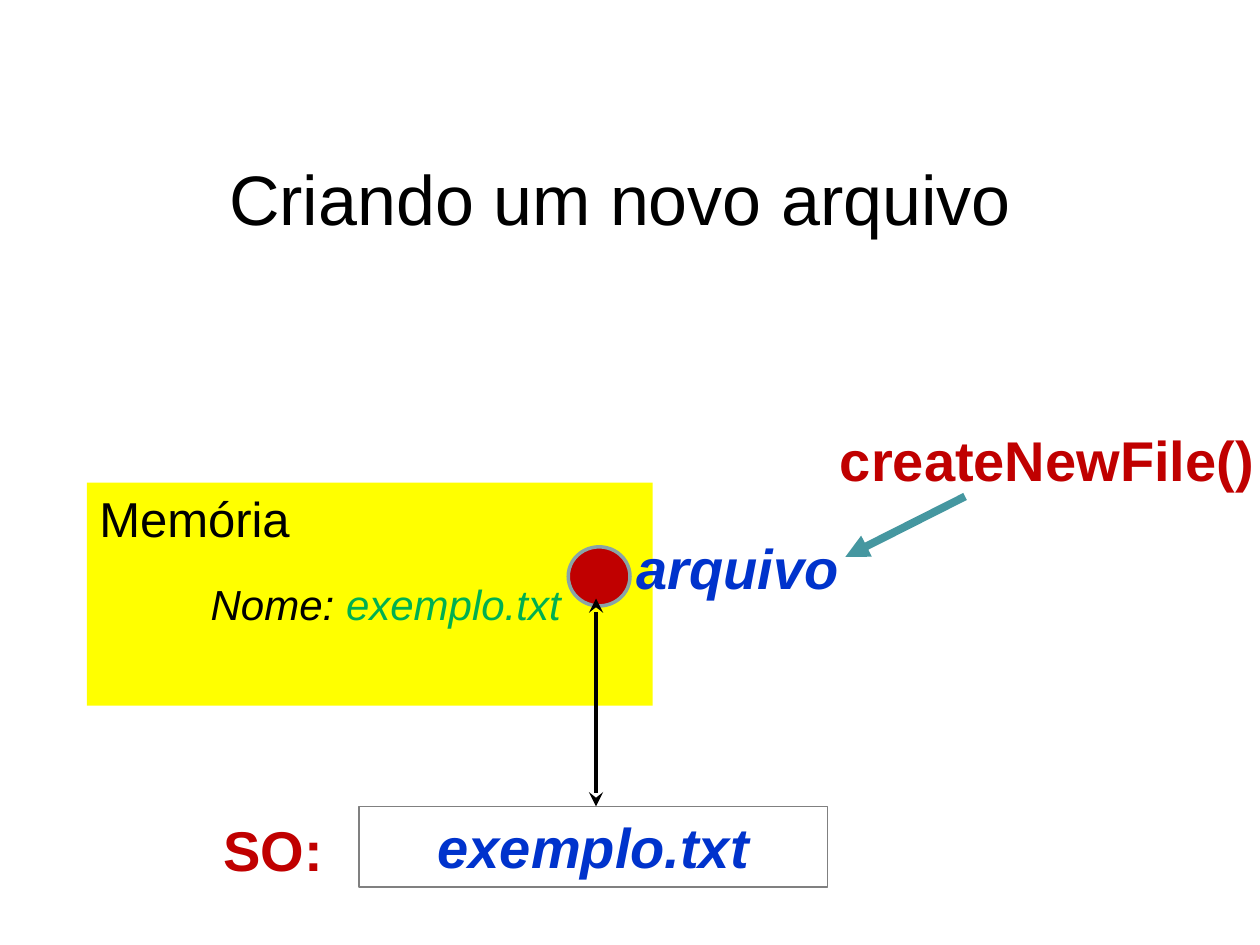
from lxml import etree
from pptx import Presentation
from pptx.dml.color import RGBColor
from pptx.enum.shapes import MSO_CONNECTOR, MSO_SHAPE
from pptx.enum.text import MSO_ANCHOR, PP_ALIGN
from pptx.oxml.ns import qn
from pptx.util import Pt

BLACK = RGBColor(0x00, 0x00, 0x00)
YELLOW = RGBColor(0xFF, 0xFF, 0x00)
RED = RGBColor(0xC0, 0x00, 0x00)
BLUE = RGBColor(0x00, 0x33, 0xCC)
GREEN = RGBColor(0x00, 0xB0, 0x50)
TEAL = RGBColor(0x45, 0x97, 0xA0)
SLATE = RGBColor(0x89, 0xA4, 0xA7)
GRAY = RGBColor(0x80, 0x80, 0x80)
RECT, OVAL = MSO_SHAPE.RECTANGLE, MSO_SHAPE.OVAL
STRAIGHT = MSO_CONNECTOR.STRAIGHT
LEFT, CENTER, RIGHT = PP_ALIGN.LEFT, PP_ALIGN.CENTER, PP_ALIGN.RIGHT
TOP, MIDDLE = MSO_ANCHOR.TOP, MSO_ANCHOR.MIDDLE


def write(sp, runs, size, align=LEFT, anchor=TOP, inset=(0, 0), bold=False, italic=False):
    tf = sp.text_frame
    tf.word_wrap = True
    tf.vertical_anchor = anchor
    tf.margin_left = tf.margin_right = Pt(inset[0])
    tf.margin_top = tf.margin_bottom = Pt(inset[1])
    p = tf.paragraphs[0]
    p.alignment = align
    for text, color in runs:
        r = p.add_run()
        r.text = text
        r.font.name = "Arial"
        r.font.size = Pt(size)
        r.font.bold = bold
        r.font.italic = italic
        r.font.color.rgb = color


prs = Presentation()
prs.slide_width, prs.slide_height = Pt(720), Pt(540)
s = prs.slides.add_slide(prs.slide_layouts[5])

title = s.shapes.title
title.left, title.top, title.width, title.height = Pt(131), Pt(86), Pt(500), Pt(54)
write(title, [("Criando um novo arquivo", BLACK)], 40, anchor=MIDDLE)

shapes = []
for kind, x, y, w, h, fill, line, weight in [
    (RECT, 49.7, 275.8, 323.3, 127.4, YELLOW, None, 0),
    (OVAL, 324.7, 312.5, 35.3, 33.8, RED, SLATE, 2),
    (RECT, 205.2, 460.8, 267.8, 46, None, GRAY, 0.75),
]:
    sp = s.shapes.add_shape(kind, Pt(x), Pt(y), Pt(w), Pt(h))
    sp.shadow.inherit = False
    if fill is None:
        sp.fill.background()
    else:
        sp.fill.solid()
        sp.fill.fore_color.rgb = fill
    if line is None:
        sp.line.fill.background()
    else:
        sp.line.color.rgb = line
        sp.line.width = Pt(weight)
    shapes.append(sp)
memory, handle, disk_file = shapes
write(memory, [("Memória", BLACK)], 28, inset=(7.2, 3.6))
write(disk_file, [("exemplo.txt", BLUE)], 32, CENTER, inset=(7.2, 3.6), bold=True, italic=True)

for x, y, w, h, runs, size, align, bold, italic in [
    (363.6, 304.6, 140, 39, [("arquivo", BLUE)], 32, LEFT, True, True),
    (100, 330.5, 220.4, 29, [("Nome: ", BLACK), ("exemplo.txt", GREEN)], 24, RIGHT, False, True),
    (480, 243, 240, 39, [("createNewFile()", RED)], 32, LEFT, True, False),
    (127.5, 466, 70, 39, [("SO:", RED)], 32, LEFT, True, False),
]:
    box = s.shapes.add_textbox(Pt(x), Pt(y), Pt(w), Pt(h))
    write(box, runs, size, align, bold=bold, italic=italic)

for x1, y1, x2, y2, color, weight, ends in [
    (551.5, 283.7, 483.1, 318.2, TEAL, 4.5, {"tailEnd": "triangle"}),
    (340.6, 460.8, 340.6, 342, BLACK, 2.75, {"headEnd": "stealth", "tailEnd": "stealth"}),
]:
    arrow = s.shapes.add_connector(STRAIGHT, Pt(x1), Pt(y1), Pt(x2), Pt(y2))
    arrow.line.color.rgb = color
    arrow.line.width = Pt(weight)
    ln = arrow.line._get_or_add_ln()
    for end, head in ends.items():
        etree.SubElement(ln, qn("a:" + end), type=head)
    etree.SubElement(arrow._element.spPr, qn("a:effectLst"))

prs.save("out.pptx")
